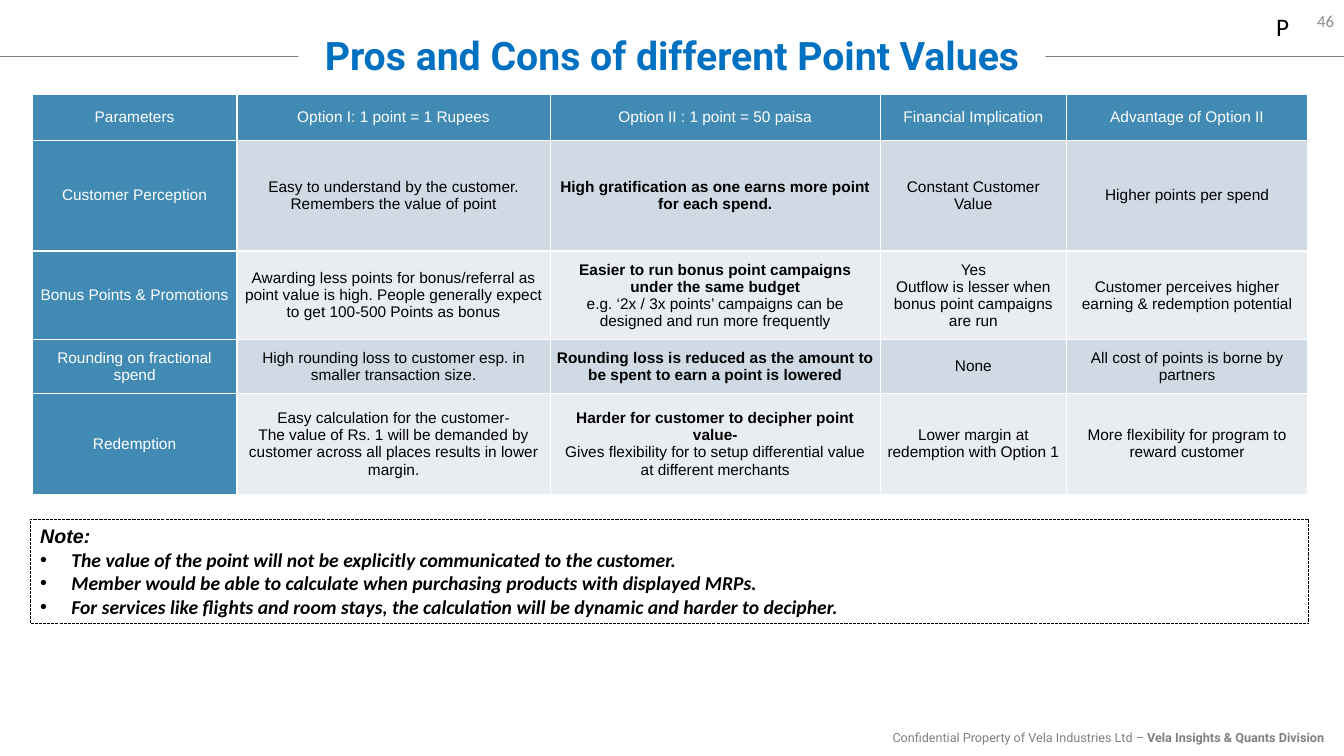
from dataclasses import dataclass
from pptx import Presentation
from pptx.dml.color import RGBColor as RGB
from pptx.enum.dml import MSO_LINE as Dash
from pptx.enum.shapes import MSO_CONNECTOR as Conn, MSO_SHAPE as Shape
from pptx.enum.text import MSO_ANCHOR as Anchor, MSO_AUTO_SIZE as Fit, PP_ALIGN as Align
from pptx.oxml.ns import qn
from pptx.util import Inches, Pt
from lxml.etree import SubElement


@dataclass(frozen=True)
class Theme:
    white: str = "FFFFFF"
    black: str = "000000"
    gray: str = "808080"
    pale: str = "8C8C8C"
    title: str = "0070C0"
    head: str = "418AB3"
    bands: tuple = ("CFDAE5", "E9EDF2")
    sans: str = "Arial"
    text: str = "Calibri"
    brand: str = "Roboto"
    big: int = 28
    mark: int = 18
    note: int = 14
    page: int = 12
    cell: int = 11
    foot: int = 9


T = Theme()

HEAD = ["Parameters", "Option I: 1 point = 1 Rupees", "Option II : 1 point = 50 paisa",
        "Financial Implication", "Advantage of Option II"]
# A leading * marks a bold run; a list holds the paragraphs of one cell.
ROWS = [
    ["Customer Perception",
     "Easy to understand by the customer. Remembers the value of point",
     "*High gratification as one earns more point for each spend.",
     "Constant Customer Value",
     "Higher points per spend"],
    ["Bonus Points & Promotions",
     "Awarding less points for bonus/referral as point value is high. "
     "People generally expect to get 100-500 Points as bonus",
     ["*Easier to run bonus point campaigns under the same budget",
      "e.g. ‘2x / 3x points’ campaigns can be designed and run more frequently"],
     ["Yes", "Outflow is lesser when bonus point campaigns are run"],
     "Customer perceives higher earning & redemption potential"],
    ["Rounding on fractional spend",
     "High rounding loss to customer esp. in smaller transaction size.",
     "*Rounding loss is reduced as the amount to be spent to earn a point is lowered",
     "None",
     "All cost of points is borne by partners"],
    ["Redemption",
     ["Easy calculation for the customer-",
      "The value of Rs. 1 will be demanded by customer across all places "
      "results in lower margin."],
     ["*Harder for customer to decipher point value-",
      "Gives flexibility for to setup differential value at different merchants"],
     "Lower margin at redemption with Option 1",
     "More flexibility for program to reward customer"],
]
WIDTHS = [2.03, 3.11, 3.27, 1.85, 2.39]
HEIGHTS = [0.45, 1.1, 0.88, 0.53, 1.01]
NOTES = ["The value of the point will not be explicitly communicated to the customer.",
         "Member would be able to calculate when purchasing products with displayed MRPs.",
         "For services like flights and room stays, the calculation will be dynamic "
         "and harder to decipher."]


def write(frame, paras, size, font=T.sans, color=T.black, align=Align.LEFT,
          italic=False, first=True):
    """Fill a frame; each paragraph is a string or a tuple of runs."""
    made = []
    for i, runs in enumerate([paras] if isinstance(paras, str) else paras):
        para = frame.paragraphs[0] if first and i == 0 else frame.add_paragraph()
        para.alignment = align
        for part in (runs,) if isinstance(runs, str) else runs:
            run = para.add_run()
            run.text = part.removeprefix("*")
            face = run.font
            face.size, face.name = Pt(size), font
            face.bold, face.italic = part.startswith("*"), italic
            face.color.rgb = RGB.from_string(color)
        made.append(para)
    return made


def paint(fill, color):
    fill.solid()
    fill.fore_color.rgb = RGB.from_string(color)


def label(slide, box, paras, size, anchor=Anchor.TOP, **style):
    frame = slide.shapes.add_textbox(*map(Inches, box)).text_frame
    frame.word_wrap, frame.vertical_anchor = True, anchor
    write(frame, paras, size, **style)


def rule(slide, left, top, width):
    line = slide.shapes.add_connector(
        Conn.STRAIGHT, *map(Inches, (left, top, left + width, top)))
    line.line.color.rgb, line.line.width = RGB.from_string(T.gray), Pt(0.5)
    SubElement(line._element.spPr, qn("a:effectLst"))


def title(slide, box, text):
    shape = slide.shapes.title
    shape.left, shape.top, shape.width, shape.height = map(Inches, box)
    paint(shape.fill, T.white)
    frame = shape.text_frame
    frame.word_wrap, frame.auto_size = False, Fit.NONE
    frame.vertical_anchor = Anchor.MIDDLE
    write(frame, "*" + text, T.big, font=T.brand, color=T.title, align=Align.CENTER)


def grid(slide, left, top):
    """Comparison table; white cell borders come from the default table style."""
    box = map(Inches, (left, top, sum(WIDTHS), sum(HEIGHTS)))
    table = slide.shapes.add_table(len(HEIGHTS), len(WIDTHS), *box).table
    table.first_col = True
    for col, width in zip(table.columns, WIDTHS):
        col.width = Inches(width)
    for row, height in zip(table.rows, HEIGHTS):
        row.height = Inches(height)
    for r, line in enumerate([HEAD] + ROWS):
        for c, text in enumerate(line):
            cell = table.cell(r, c)
            main = r == 0 or c == 0
            paint(cell.fill, T.head if main else T.bands[(r - 1) % 2])
            cell.vertical_anchor = Anchor.MIDDLE
            cell.margin_left = cell.margin_right = Inches(0.06)
            cell.margin_top = cell.margin_bottom = 0
            write(cell.text_frame, text, T.cell, align=Align.CENTER,
                  color=T.white if main else T.black)


def bullet(para, indent):
    props = para._p.get_or_add_pPr()
    props.set("marL", str(Inches(indent)))
    props.set("indent", str(-Inches(indent)))
    SubElement(props, qn("a:buFont"), typeface=T.sans)
    SubElement(props, qn("a:buChar"), char="•")


def notes(slide, box):
    shape = slide.shapes.add_shape(Shape.RECTANGLE, *map(Inches, box))
    shape.shadow.inherit = False
    shape.fill.background()
    shape.line.color.rgb, shape.line.width = RGB.from_string(T.black), Pt(0.75)
    shape.line.dash_style = Dash.SQUARE_DOT
    frame = shape.text_frame
    frame.word_wrap, frame.vertical_anchor = True, Anchor.TOP
    write(frame, "*Note:", T.note, italic=True)
    points = write(frame, ["*" + note for note in NOTES], T.note, font=T.text,
                   italic=True, first=False)
    for para in points:
        bullet(para, 0.31)


def frame_parts(slide, width):
    """Rule, footer and page number shared by the deck."""
    rule(slide, 0, 0.56, width)
    label(slide, (width - 6.77, 7.19, 6.67, 0.25),
          [("Confidential Property of Vela Industries Ltd – ",
            "*Vela Insights & Quants Division")],
          T.foot, font=T.brand, color=T.gray, align=Align.RIGHT)
    label(slide, (width - 3, 0.01, 3, 0.4), "46", T.page, anchor=Anchor.MIDDLE,
          font=T.text, color=T.pale, align=Align.RIGHT)


def main():
    deck = Presentation()
    deck.slide_width, deck.slide_height = Inches(13.33), Inches(7.5)
    slide = deck.slides.add_slide(deck.slide_layouts[5])
    frame_parts(slide, 13.33)
    head = slide.shapes.title._element
    head.getparent().append(head)
    title(slide, (2.96, 0.26, 7.41, 0.57), "Pros and Cons of different Point Values")
    grid(slide, 0.32, 0.94)
    notes(slide, (0.3, 5.15, 12.68, 1.04))
    label(slide, (12.56, 0.06, 0.57, 0.4), "P", T.mark, font=T.text)
    deck.save("out.pptx")


if __name__ == "__main__":
    main()
